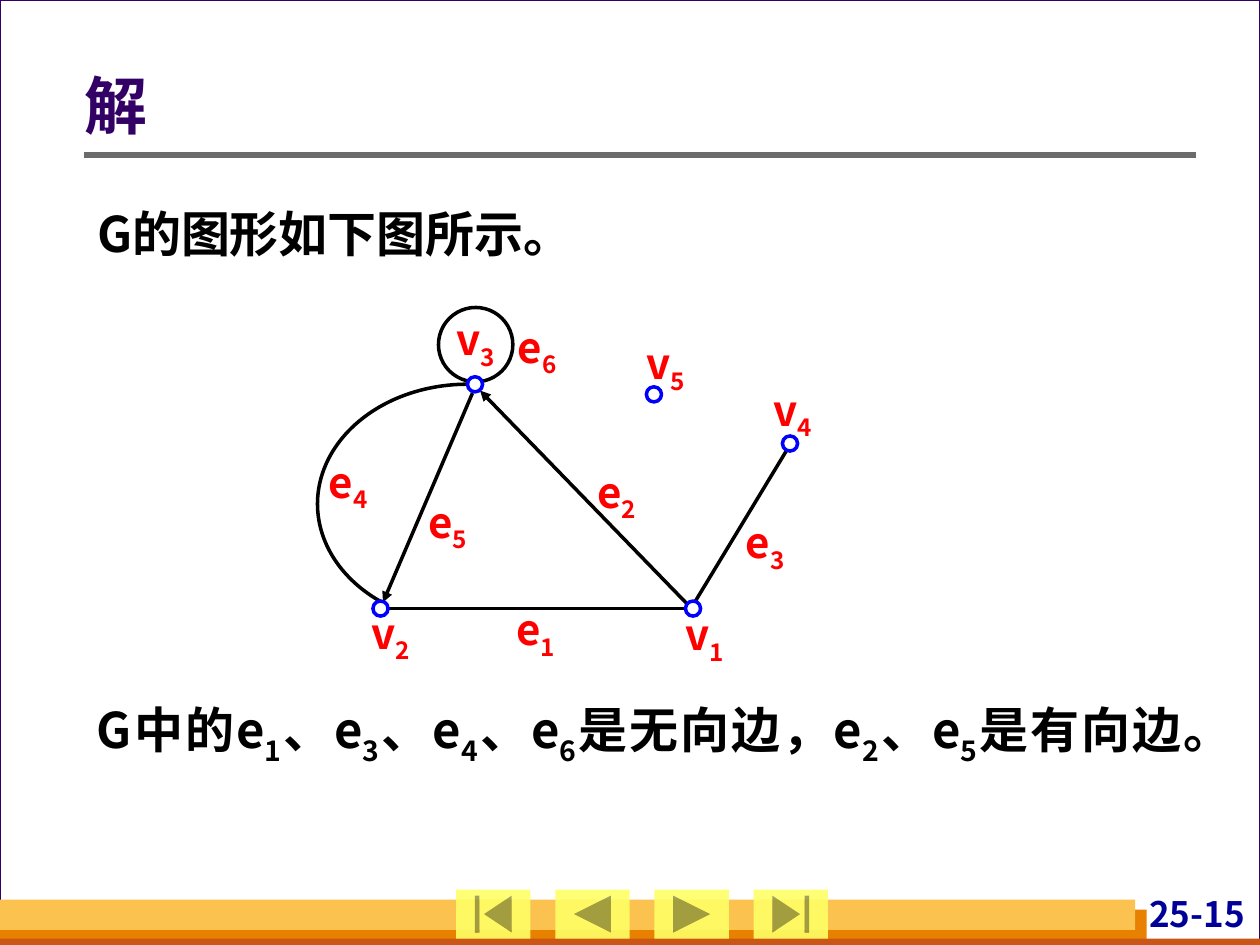
from dataclasses import dataclass

from lxml.etree import SubElement
from pptx import Presentation
from pptx.dml.color import RGBColor as Color
from pptx.enum.shapes import MSO_CONNECTOR as Connector, MSO_SHAPE as Preset
from pptx.enum.text import MSO_ANCHOR as Anchor, MSO_AUTO_SIZE as AutoSize, PP_ALIGN as Align
from pptx.oxml.ns import qn
from pptx.util import Inches, Pt


@dataclass(frozen=True)
class Theme:
    font: str = "Noto Sans CJK SC"
    title_size: int = 36
    body_size: int = 28
    label_size: int = 24
    number_size: int = 20
    edge_width: int = 2
    background: str = "D8DADA"
    paper: str = "FFFFFF"
    purple: str = "330066"
    ink: str = "000000"
    label: str = "FF0000"
    vertex: str = "0000FF"
    number: str = "000099"
    rule: str = "6B6B6B"
    button: str = "FFFF66"
    orange: str = "E88000"
    rust: str = "C95616"
    amber: str = "FCC24F"


theme = Theme()
presentation = Presentation()
presentation.slide_width, presentation.slide_height = Inches(10), Inches(7.5)
column = presentation.slide_width / 100
row = presentation.slide_height / 75
slide = presentation.slides.add_slide(presentation.slide_layouts[1])
shapes = slide.shapes
slide.background.fill.solid()
slide.background.fill.fore_color.rgb = Color.from_string(theme.background)


def grid(*values):
    return [round(value * (row if index % 2 else column)) for index, value in enumerate(values)]


def write(shape, pieces, size, color, align=Align.JUSTIFY, spacing=1.0, inset=(0, 0, 0, 0)):
    frame = shape.text_frame
    frame.word_wrap, frame.auto_size = True, AutoSize.NONE
    frame.margin_left, frame.margin_top, frame.margin_right, frame.margin_bottom = grid(*inset)
    paragraph = frame.paragraphs[0]
    paragraph.alignment, paragraph.line_spacing, paragraph.space_before = align, spacing, Pt(0)
    for index, piece in enumerate(pieces):
        run = paragraph.add_run()
        run.text = piece
        run.font.size, run.font.bold = Pt(size), True
        run.font.color.rgb = Color.from_string(color)
        run.font.name = theme.font
        properties = run._r.get_or_add_rPr()
        SubElement(properties, qn("a:ea")).set("typeface", theme.font)
        if index % 2:
            properties.set("baseline", "-25000")


panels = [
    (0, 0, 100, 75, theme.paper),
    (0, 72.2, 91, 2.8, theme.orange),
    (0, 74.5, 100, 0.5, theme.rust),
    (0, 71.4, 90.1, 2.4, theme.amber),
]
for *box, color in panels:
    panel = shapes.add_shape(Preset.RECTANGLE, *grid(*box))
    panel.shadow.inherit = False
    panel.fill.solid()
    panel.fill.fore_color.rgb = Color.from_string(color)
    if color == theme.paper:
        panel.line.color.rgb = Color.from_string(theme.purple)
        panel.line.width = Pt(0.75)
    else:
        panel.line.fill.background()

page_number = shapes.add_textbox(*grid(87, 70.8, 12.2, 3.8))
write(page_number, ["25-15"], theme.number_size, theme.number, Align.RIGHT, inset=(0.4, 0, 0.4, 0))

buttons = [
    Preset.ACTION_BUTTON_BEGINNING,
    Preset.ACTION_BUTTON_BACK_OR_PREVIOUS,
    Preset.ACTION_BUTTON_FORWARD_OR_NEXT,
    Preset.ACTION_BUTTON_END,
]
for index, preset in enumerate(buttons):
    button = shapes.add_shape(preset, *grid(36.2 + 7.87 * index, 70.6, 5.9, 3.9))
    button.shadow.inherit = False
    button.fill.solid()
    button.fill.fore_color.rgb = Color.from_string(theme.button)
    button.line.fill.background()
    tint = button._element.spPr.find(qn("a:solidFill"))[0]
    SubElement(tint, qn("a:alpha")).set("val", "90000")

title, body = shapes.title, slide.placeholders[1]
for placeholder, box in [(title, (6.7, 3.6, 88.2, 10.1)), (body, (6.7, 14.7, 88.2, 6.6))]:
    placeholder.left, placeholder.top, placeholder.width, placeholder.height = grid(*box)
    shapes._spTree.append(placeholder._element)
title.text_frame.vertical_anchor = Anchor.MIDDLE
write(title, ["解"], theme.title_size, theme.purple, Align.LEFT, 0.9, (0, 0.5, 1, 0.5))

body_properties = body.text_frame.paragraphs[0]._p.get_or_add_pPr()
body_properties.set("marL", "0")
body_properties.set("indent", "0")
SubElement(body_properties, qn("a:buNone"))
text_inset = (1, 0.5, 1, 0.5)
write(body, ["G的图形如下图所示。"], theme.body_size, theme.ink, spacing=1.2, inset=text_inset)

conclusion = shapes.add_textbox(*grid(6.7, 54, 88.2, 13))
sentence = ["G中的e", "1", "、e", "3", "、e", "4", "、e", "6", "是无向边，e", "2", "、e", "5", "是有向边。"]
write(conclusion, sentence, theme.body_size, theme.ink, spacing=1.2, inset=text_inset)

lines = [
    (6.7, 12.3, 94.9, 12.3, theme.rule, 3, False),
    (30.6, 48.3, 54.3, 48.3, theme.ink, theme.edge_width, False),
    (62.4, 35.8, 55.2, 47.7, theme.ink, theme.edge_width, False),
    (54.7, 48.1, 38.1, 31, theme.ink, theme.edge_width, True),
    (37.5, 31.2, 30.4, 47.8, theme.ink, theme.edge_width, True),
]
for *ends, color, width, directed in lines:
    edge = shapes.add_connector(Connector.STRAIGHT, *grid(*ends))
    edge.line.color.rgb = Color.from_string(color)
    edge.line.width = Pt(width)
    if directed:
        SubElement(edge.line._get_or_add_ln(), qn("a:tailEnd")).set("type", "triangle")
    SubElement(edge._element.spPr, qn("a:effectLst"))

curve = shapes.add_shape(Preset.ARC, *grid(25.2, 30.5, 23.8, 19))
curve.adjustments[0], curve.adjustments[1] = 131.5 * 0.6, 270 * 0.6
loop = shapes.add_shape(Preset.OVAL, *grid(34.8, 24.4, 5.9, 5.9))
for outline in (curve, loop):
    outline.shadow.inherit = False
    outline.fill.background()
    outline.line.color.rgb = Color.from_string(theme.ink)
    outline.line.width = Pt(theme.edge_width)

vertex_size = 1.2
for center_x, center_y in [(55, 48.3), (30.2, 48.3), (37.7, 30.5), (62.7, 35.2), (51.9, 31.3)]:
    corner = (center_x - vertex_size / 2, center_y - vertex_size / 2)
    vertex = shapes.add_shape(Preset.OVAL, *grid(*corner, vertex_size, vertex_size))
    vertex.shadow.inherit = False
    vertex.fill.solid()
    vertex.fill.fore_color.rgb = Color.from_string(theme.paper)
    vertex.line.color.rgb = Color.from_string(theme.vertex)
    vertex.line.width = Pt(theme.edge_width)

label_corners = {
    "v": [(54.4, 48.3), (29.5, 48.2), (36.2, 24.9), (61.4, 30.5), (51.3, 26.8)],
    "e": [(41, 47.9), (47.4, 37), (59.2, 41), (26.1, 36.2), (34, 39.4), (41.1, 25.5)],
}
for letter, corners in label_corners.items():
    for number, corner in enumerate(corners, start=1):
        label = shapes.add_textbox(*grid(*corner, 4.7, 4.6))
        write(label, [letter, str(number)], theme.label_size, theme.label)

presentation.save("out.pptx")
